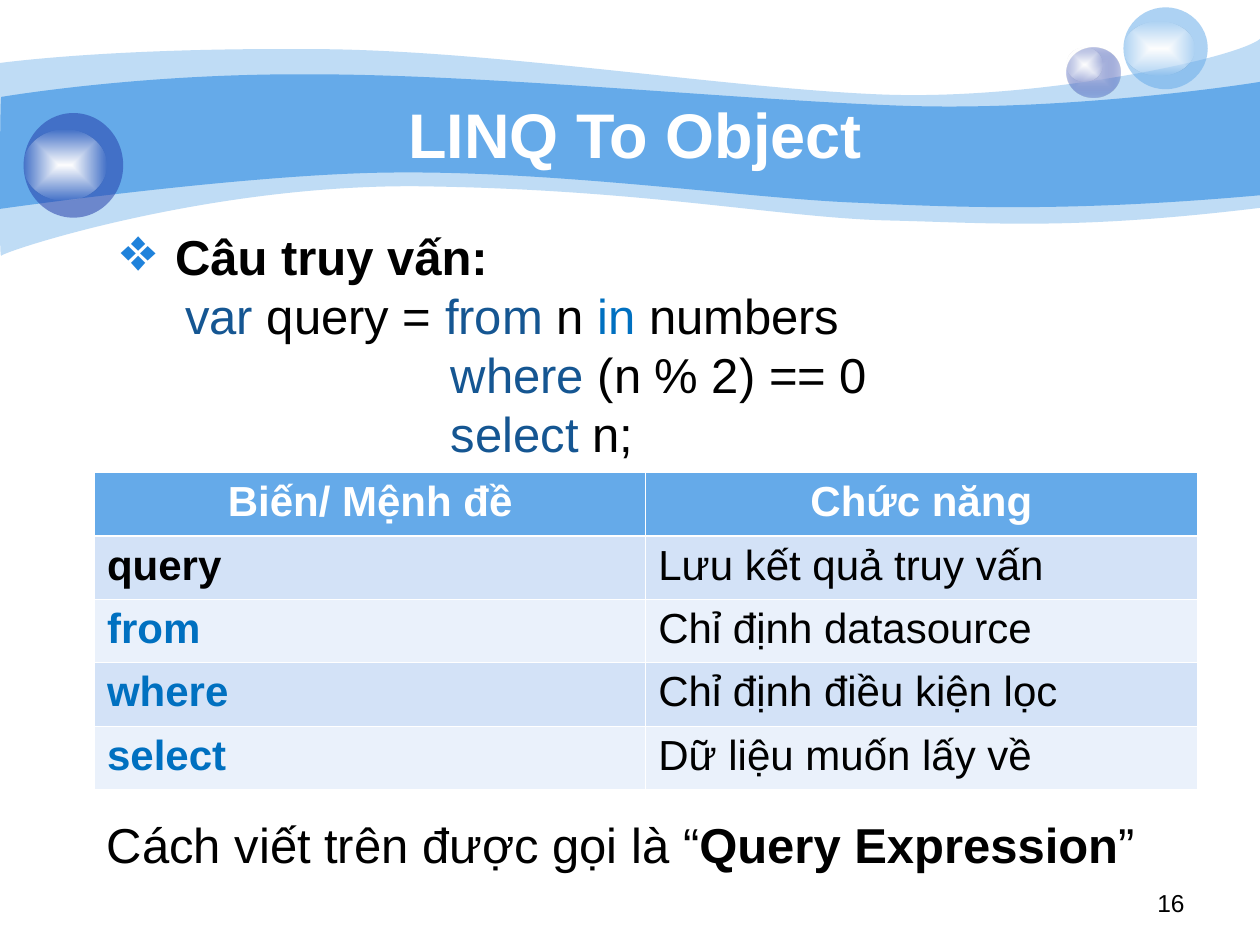
import pptx
import pptx.dml.color
import pptx.enum.shapes
import pptx.enum.text
import pptx.oxml
import pptx.oxml.ns
import pptx.util
from dataclasses import dataclass
from typing import NamedTuple

Pt = pptx.util.Pt
Align = pptx.enum.text.PP_ALIGN


@dataclass(frozen=True)
class Theme:
    font: str = "Arial"
    white: str = "FFFFFF"
    black: str = "000000"
    sky: str = "65AAE9"
    indigo: str = "233DA9"
    lilac: str = "C7CEE9"
    bullet: str = "1F82DB"
    keyword: str = "155692"
    clause: str = "0070C0"
    bands: tuple[str, str] = ("D3E2F7", "EAF1FB")
    title_size: float = 36
    body_size: float = 28
    table_size: float = 24
    number_size: float = 14


THEME = Theme()


class Box(NamedTuple):
    left: float
    top: float
    width: float
    height: float

    def lengths(self) -> list[int]:
        return [Pt(value) for value in self]


class Fill(NamedTuple):
    """A centre colour fading to an edge colour; alphas are percentages."""
    centre: str
    edge: str
    centre_alpha: int
    edge_alpha: int


class Bubble(NamedTuple):
    ball: Box
    shine: Box
    fill: Fill


class Run(NamedTuple):
    text: str
    color: str = THEME.black
    bold: bool = False


class Wave(NamedTuple):
    """Upper and lower edges, each a start point followed by cubic curves."""
    upper: list[tuple[float, float]]
    lower: list[tuple[float, float]]
    alpha: int


SHINE = Fill(THEME.white, THEME.white, 100, 0)
WAVES = [
    Wave([(0, 36), (17.3, 33.8), (77, 27.4), (177.8, 28.1), (277.9, 28.1), (414, 50.4),
          (503.3, 54), (591.8, 57.6), (705.6, 33.8), (720, 22.3)],
         [(720, 118.8), (612.7, 131.8), (566.6, 127.4), (507.6, 126), (447.8, 124.6),
          (370.8, 108.7), (247, 106.6), (123.8, 103.7), (2.9, 143.3), (0.7, 146.2),
          (-0.7, 149.8), (0, 54), (0, 36)], 41),
    Wave([(0.7, 55.4), (1.4, 55.4), (79.2, 41.8), (178.6, 42.5), (277.9, 42.5), (428.4, 57.6),
          (517, 60.5), (605.5, 63.4), (702.7, 49.7), (720, 46.8)],
         [(720, 111.6), (614.2, 121), (550.8, 118.8), (491, 115.9), (431.3, 113.8),
          (321.8, 97.9), (228.2, 98.6), (146.2, 98.6), (-1.4, 119.5), (-0.7, 119.5),
          (0, 119.5), (0, 55.4), (0.7, 55.4)], 100),
]
BUBBLES = [
    Bubble(Box(609.8, 27.2, 30.2, 28.8), Box(609.8, 27.2, 20.2, 19.4),
           Fill(THEME.lilac, THEME.indigo, 100, 31)),
    Bubble(Box(642, 4.2, 48.2, 46.8), Box(642, 12.2, 40.3, 31),
           Fill(THEME.sky, THEME.sky, 53, 53)),
    Bubble(Box(13.5, 64.6, 56.9, 59.8), Box(13.5, 74.2, 47.5, 40.3),
           Fill(THEME.indigo, THEME.indigo, 53, 53)),
]
QUERY_LINES = [
    [Run("Câu truy vấn:", bold=True)],
    [Run("     var", THEME.keyword), Run(" query = "), Run("from", THEME.keyword),
     Run(" n "), Run("in", THEME.clause), Run(" numbers")],
    [Run("\t\t      "), Run("where", THEME.keyword), Run(" (n % 2) == 0")],
    [Run("\t\t      "), Run("select", THEME.keyword), Run(" n;")],
]
CLAUSE_ROWS = [
    (Run("Biến/ Mệnh đề", THEME.white, True), Run("Chức năng", THEME.white, True)),
    (Run("query", bold=True), Run("Lưu kết quả truy vấn")),
    (Run("from", THEME.clause, True), Run("Chỉ định datasource")),
    (Run("where", THEME.clause, True), Run("Chỉ định điều kiện lọc")),
    (Run("select", THEME.clause, True), Run("Dữ liệu muốn lấy về")),
]


def rgb(color: str):
    return pptx.dml.color.RGBColor.from_string(color)


def xml(markup: str):
    """Parse an element whose first tag has a %s for the namespace."""
    return pptx.oxml.parse_xml(markup % pptx.oxml.ns.nsdecls("a"))


def paint(shape, fill: Fill) -> None:
    shape.shadow.inherit = False
    shape.line.fill.background()
    if fill.centre == fill.edge and fill.centre_alpha == fill.edge_alpha:
        shape.fill.solid()
        shape.fill.fore_color.rgb = rgb(fill.edge)
        if fill.edge_alpha < 100:
            color = next(shape.element.spPr.iter(pptx.oxml.ns.qn("a:srgbClr")))
            color.append(xml(f'<a:alpha %s val="{fill.edge_alpha * 1000}"/>'))
        return
    shape.fill.background()
    stops = "".join(
        f'<a:gs pos="{pos}"><a:srgbClr val="{color}"><a:alpha val="{alpha * 1000}"/>'
        "</a:srgbClr></a:gs>"
        for pos, color, alpha in ((0, fill.centre, fill.centre_alpha),
                                  (100000, fill.edge, fill.edge_alpha)))
    properties = shape.element.spPr
    properties.replace(properties.find(pptx.oxml.ns.qn("a:noFill")), xml(
        f'<a:gradFill %s rotWithShape="1"><a:gsLst>{stops}</a:gsLst><a:path path="rect">'
        '<a:fillToRect l="50000" t="50000" r="50000" b="50000"/></a:path></a:gradFill>'))


def bend(segments: list) -> None:
    """Merge each three line segments into one cubic curve."""
    for start in range(0, len(segments), 3):
        first, *others = segments[start:start + 3]
        curve = xml("<a:cubicBezTo %s/>")
        first.addprevious(curve)
        for segment in (first, *others):
            curve.append(segment[0])
            segment.getparent().remove(segment)


def draw_wave(slide, wave: Wave) -> None:
    start, *rest = [(Pt(x), Pt(y)) for x, y in wave.upper + wave.lower]
    builder = slide.shapes.build_freeform(*start)
    builder.add_line_segments(rest, close=False)
    shape = builder.convert_to_shape()
    segments = list(shape.element.iter(pptx.oxml.ns.qn("a:lnTo")))
    joint = len(wave.upper) - 1
    segments[-1].addnext(xml("<a:close %s/>"))
    bend(segments[:joint])
    bend(segments[joint + 1:])
    paint(shape, Fill(THEME.sky, THEME.sky, wave.alpha, wave.alpha))


def draw_bubble(slide, bubble: Bubble) -> None:
    for box, fill in ((bubble.ball, bubble.fill), (bubble.shine, SHINE)):
        oval = pptx.enum.shapes.MSO_SHAPE.OVAL
        paint(slide.shapes.add_shape(oval, *box.lengths()), fill)


def write(paragraph, text: str, *, size: float, color: str = THEME.black,
          bold: bool = False) -> None:
    run = paragraph.add_run()
    run.text = text
    run.font.name, run.font.size, run.font.bold = THEME.font, Pt(size), bold
    run.font.color.rgb = rgb(color)


def add_text(slide, box: Box, lines: list[list[Run]], *, size: float, align=Align.LEFT,
             anchor=pptx.enum.text.MSO_ANCHOR.TOP, line_spacing: float = 1):
    frame = slide.shapes.add_textbox(*box.lengths()).text_frame
    frame.word_wrap, frame.vertical_anchor = True, anchor
    for index, runs in enumerate(lines):
        paragraph = frame.add_paragraph() if index else frame.paragraphs[0]
        paragraph.alignment, paragraph.line_spacing = align, line_spacing
        for run in runs:
            write(paragraph, run.text, size=size, color=run.color, bold=run.bold)
    return frame


def add_bullet(paragraph, indent: float, hanging: float) -> None:
    properties = paragraph._p.get_or_add_pPr()
    properties.set("marL", str(Pt(indent)))
    properties.set("indent", str(-Pt(hanging)))
    properties.append(xml(f'<a:buClr %s><a:srgbClr val="{THEME.bullet}"/></a:buClr>'))
    properties.append(xml('<a:buSzPct %s val="125000"/>'))
    properties.append(xml('<a:buChar %s char="❖"/>'))


def add_tab_stops(paragraph, gap: float = 72, count: int = 7) -> None:
    stops = "".join(f'<a:tab pos="{Pt(gap * n)}" algn="l"/>' for n in range(1, count + 1))
    paragraph._p.get_or_add_pPr().append(xml(f"<a:tabLst %s>{stops}</a:tabLst>"))


def add_clause_table(slide, box: Box) -> None:
    table = slide.shapes.add_table(len(CLAUSE_ROWS), 2, *box.lengths()).table
    table.horz_banding = False
    for row, runs in enumerate(CLAUSE_ROWS):
        for column, run in enumerate(runs):
            cell = table.cell(row, column)
            cell.fill.solid()
            cell.fill.fore_color.rgb = rgb(THEME.bands[(row - 1) % 2] if row else THEME.sky)
            paragraph = cell.text_frame.paragraphs[0]
            paragraph.alignment = Align.LEFT if row else Align.CENTER
            write(paragraph, run.text, size=THEME.table_size, color=run.color, bold=run.bold)
            for order, side in enumerate("LRTB"):
                heavy = (row, side) in ((0, "B"), (1, "T"))
                cell._tc.get_or_add_tcPr().insert(order, xml(
                    f'<a:ln{side} %s w="{Pt(1.47 if heavy else 0.45)}"><a:solidFill>'
                    f'<a:srgbClr val="{THEME.white}"/></a:solidFill></a:ln{side}>'))


def main() -> None:
    deck = pptx.Presentation()
    deck.slide_width, deck.slide_height = Pt(720), Pt(540)
    slide = deck.slides.add_slide(deck.slide_layouts[6])
    for wave in WAVES:
        draw_wave(slide, wave)
    for bubble in BUBBLES:
        draw_bubble(slide, bubble)
    add_text(slide, Box(72, 53.5, 582, 45), [[Run("LINQ To Object", THEME.white, True)]],
             size=THEME.title_size, align=Align.CENTER,
             anchor=pptx.enum.text.MSO_ANCHOR.MIDDLE)
    add_clause_table(slide, Box(54, 270, 630, 181))
    add_text(slide, Box(54, 468.5, 624, 34.6),
             [[Run("Cách viết trên được gọi là “"), Run("Query Expression", bold=True), Run("”")]],
             size=THEME.body_size, line_spacing=0.8)
    query = add_text(slide, Box(60, 126, 618, 142), QUERY_LINES, size=THEME.body_size)
    heading, *code = query.paragraphs
    add_bullet(heading, indent=33, hanging=31)
    for line in code:
        add_tab_stops(line)
    add_text(slide, Box(516, 504, 168, 25), [[Run("16")]], size=THEME.number_size,
             align=Align.RIGHT)
    deck.save("out.pptx")


if __name__ == "__main__":
    main()
